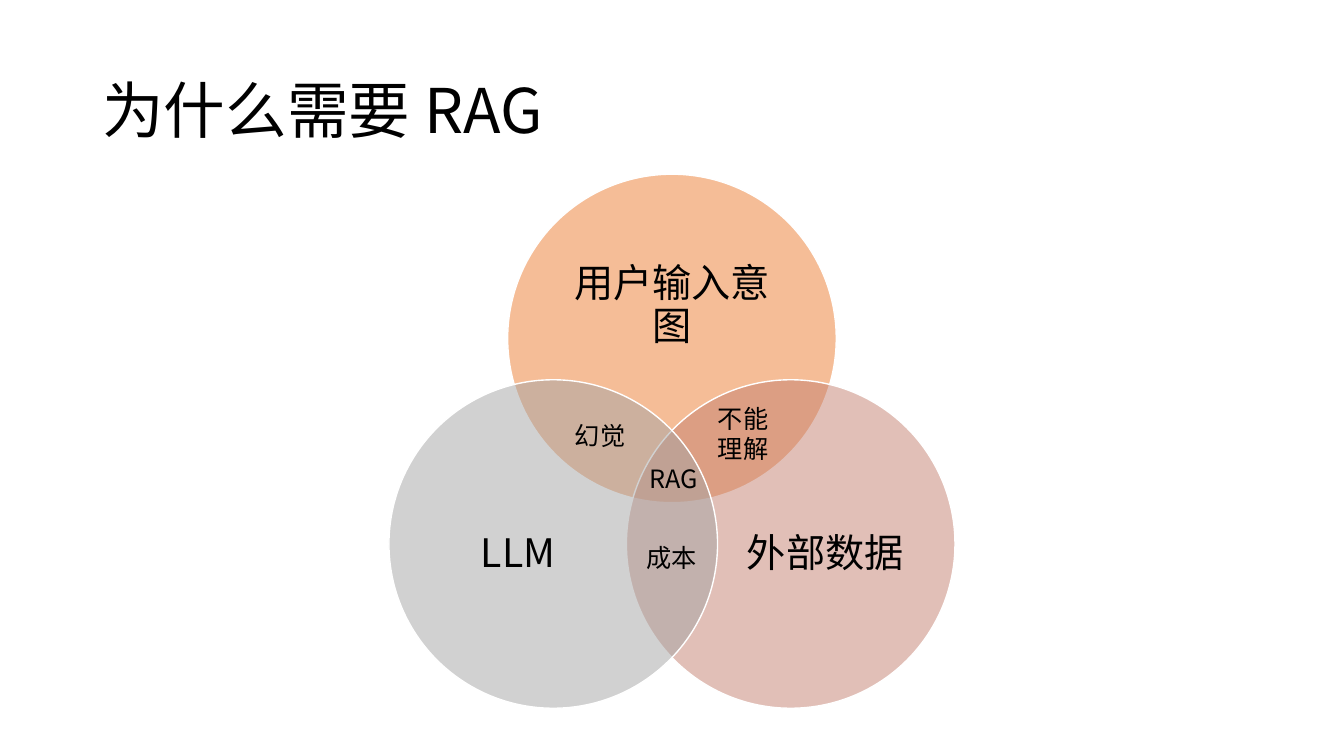
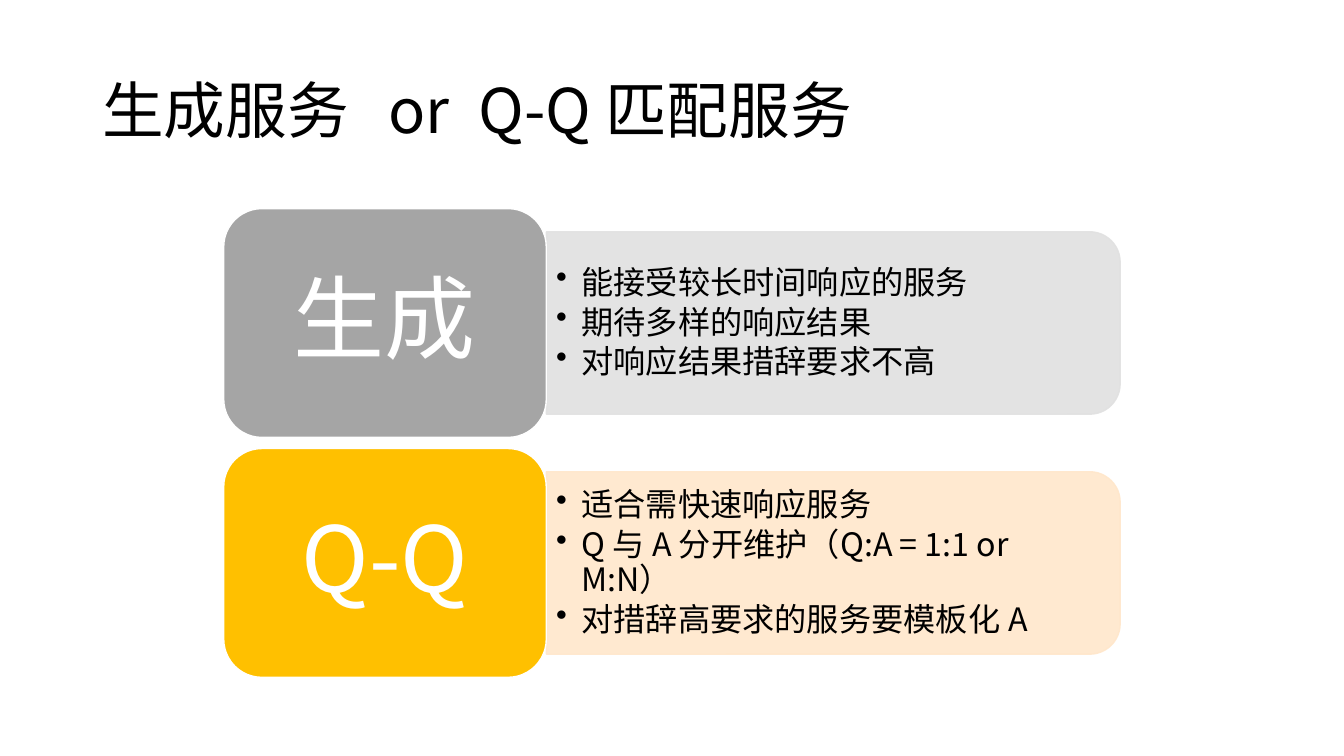
"""Build two slides: why RAG is needed, and generation versus Q-Q matching."""
import math

import lxml.etree
import pptx
import pptx.dml.color
import pptx.enum.shapes
import pptx.enum.text
import pptx.oxml.ns
import pptx.util

FONT = "Noto Sans CJK SC"
BLACK, WHITE, GREY = "000000", "FFFFFF", "A5A5A5"
SHAPE = pptx.enum.shapes.MSO_SHAPE
ALIGN = pptx.enum.text.PP_ALIGN
qn = pptx.oxml.ns.qn

presentation = pptx.Presentation()
presentation.slide_width = pptx.util.Inches(13.33)
presentation.slide_height = pptx.util.Inches(7.5)
COLUMN = presentation.slide_width / 100
ROW = presentation.slide_height / 100


def paint(fill, color, opacity=100):
    """Give a fill a solid colour with an opacity in percent."""
    fill.solid()
    fill.fore_color.rgb = pptx.dml.color.RGBColor.from_string(color)
    if opacity < 100:
        element = fill._xPr.find(".//" + qn("a:srgbClr"))
        lxml.etree.SubElement(element, qn("a:alpha"), val=str(opacity * 1000))


def put(slide, center, size, kind=None, color=WHITE, opacity=100, edge=WHITE, edge_opacity=100,
        lines=(), points=18, ink=BLACK, align=ALIGN.CENTER, spacing=0.9, bullet=False, tabs=()):
    """Put a shape or text box around a centre, measured in columns and rows."""
    left, top = center[0] - size[0] / 2, center[1] - size[1] / 2
    box = [int(left * COLUMN), int(top * ROW), int(size[0] * COLUMN), int(size[1] * ROW)]
    if kind is None:
        shape = slide.shapes.add_textbox(*box)
    else:
        shape = slide.shapes.add_shape(kind, *box)
        shape.shadow.inherit = False
        paint(shape.fill, color, opacity)
        paint(shape.line.fill, edge, edge_opacity)
        shape.line.width = pptx.util.Pt(1)
    frame = shape.text_frame
    frame.word_wrap = align == ALIGN.LEFT
    frame.vertical_anchor = pptx.enum.text.MSO_ANCHOR.MIDDLE
    for index, line in enumerate(lines):
        paragraph = frame.add_paragraph() if index else frame.paragraphs[0]
        paragraph.text = line
        paragraph.alignment = align
        paragraph.line_spacing = spacing
        properties = paragraph._p.get_or_add_pPr()
        if bullet:
            paragraph.space_after = pptx.util.Pt(3.5)
            indent = pptx.util.Inches(0.25)
            properties.set("marL", str(indent))
            properties.set("indent", str(-indent))
            lxml.etree.SubElement(properties, qn("a:buChar"), char="•")
        if tabs:
            stops = lxml.etree.SubElement(properties, qn("a:tabLst"))
            for tab in tabs:
                lxml.etree.SubElement(stops, qn("a:tab"), pos=str(int(tab * COLUMN)), algn="l")
        paragraph.font.size = pptx.util.Pt(points)
        paragraph.font.name = FONT
        paint(paragraph.font.fill, ink)
        lxml.etree.SubElement(properties.find(qn("a:defRPr")), qn("a:ea"), typeface=FONT)
    return shape


slides = []
for title, tabs in [("为什么需要 RAG", ()), ("生成服务\tor\tQ-Q 匹配服务", (21.3, 28))]:
    slide = presentation.slides.add_slide(presentation.slide_layouts[6])
    put(slide, (50, 15), (86.25, 19.33), lines=[title], points=44, align=ALIGN.LEFT, tabs=tabs)
    slides.append(slide)
venn_slide, choice_slide = slides

DIAMETER, ORBIT = 24.45, 10.2
SQUARE = COLUMN / ROW
circles = [
    (-90, "ED7D31", "用户输入意图", (50, 40.5)),
    (30, "C48170", "外部数据", (61.4, 73.4)),
    (150, GREY, "LLM", (38.55, 73.4)),
]
for degrees, color, name, name_center in circles:
    angle = math.radians(degrees)
    center = (50 + ORBIT * math.cos(angle), 62.9 + ORBIT * math.sin(angle) * SQUARE)
    put(venn_slide, center, (DIAMETER, DIAMETER * SQUARE), SHAPE.OVAL, color, 50)
    put(venn_slide, name_center, (18, 20), lines=[name], points=28)

overlaps = [
    (["幻觉"], (44.65, 57.6)),
    (["不能", "理解"], (55.3, 57.3)),
    (["成本"], (50, 73.7)),
    (["RAG"], (50.1, 63.3)),
]
for lines, center in overlaps:
    put(venn_slide, center, (5.3, 5.3 * len(lines)), lines=lines, spacing=pptx.util.Pt(21.5))

choices = [
    ("生成", GREY, "E1E1E1",
     ["能接受较长时间响应的服务", "期待多样的响应结果", "对响应结果措辞要求不高"]),
    ("Q-Q", "FFC000", "FFE7CB",
     ["适合需快速响应服务", "Q 与 A 分开维护（Q:A = 1:1 or M:N）", "对措辞高要求的服务要模板化 A"]),
]
for index, (name, color, pale, points) in enumerate(choices):
    middle = 42.73 + index * 31.74
    panel = put(choice_slide, (62, middle), (13.58, 75.87), SHAPE.ROUND_2_SAME_RECTANGLE,
                pale, 90, pale, 90)
    panel.rotation = 90
    put(choice_slide, (61.65, middle), (42, 21.87), lines=points, points=23,
        align=ALIGN.LEFT, spacing=pptx.util.Pt(25), bullet=True)
    put(choice_slide, (28.65, middle), (24, 30.27), SHAPE.ROUNDED_RECTANGLE, color,
        lines=[name], points=65, ink=WHITE)

presentation.save("out.pptx")
